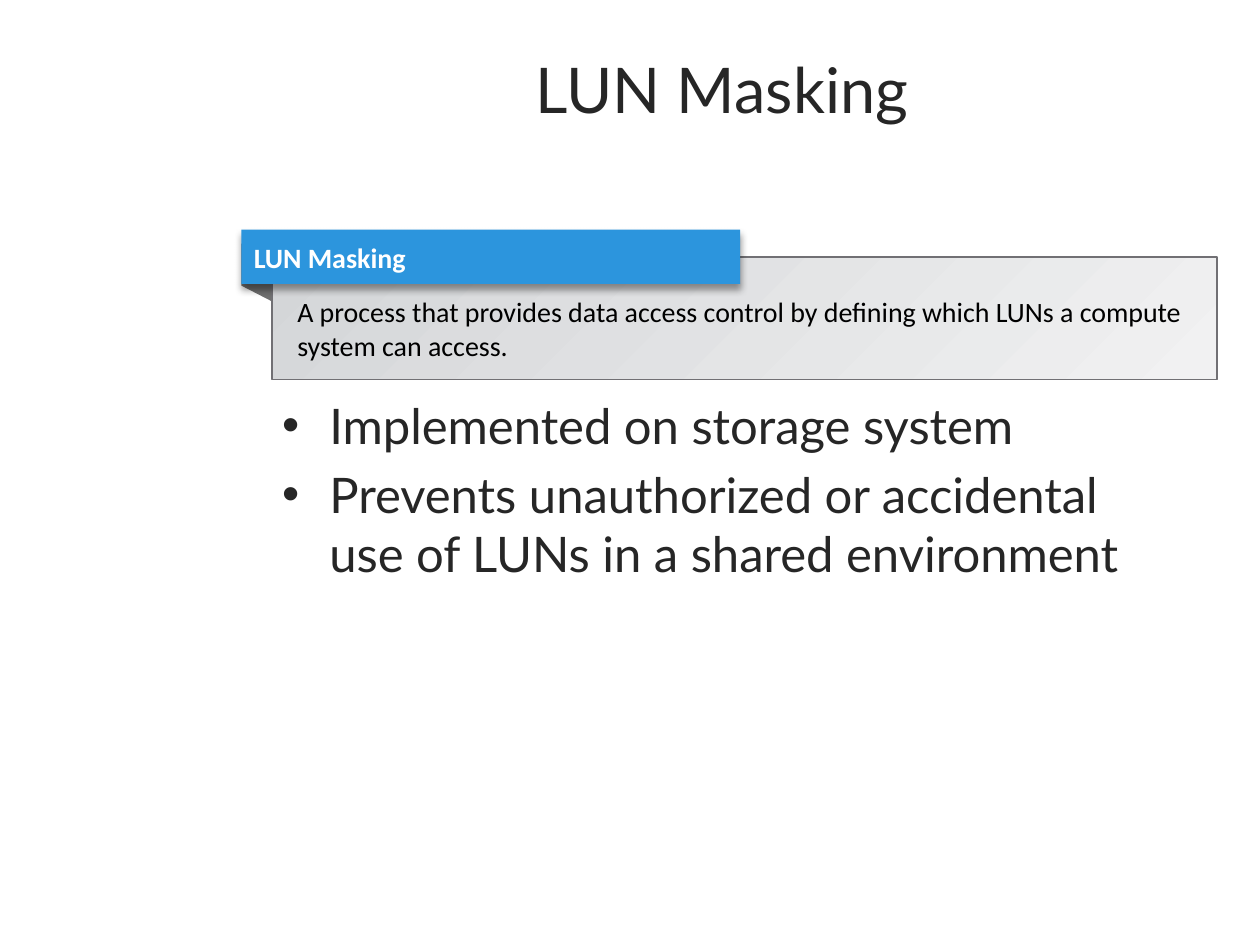
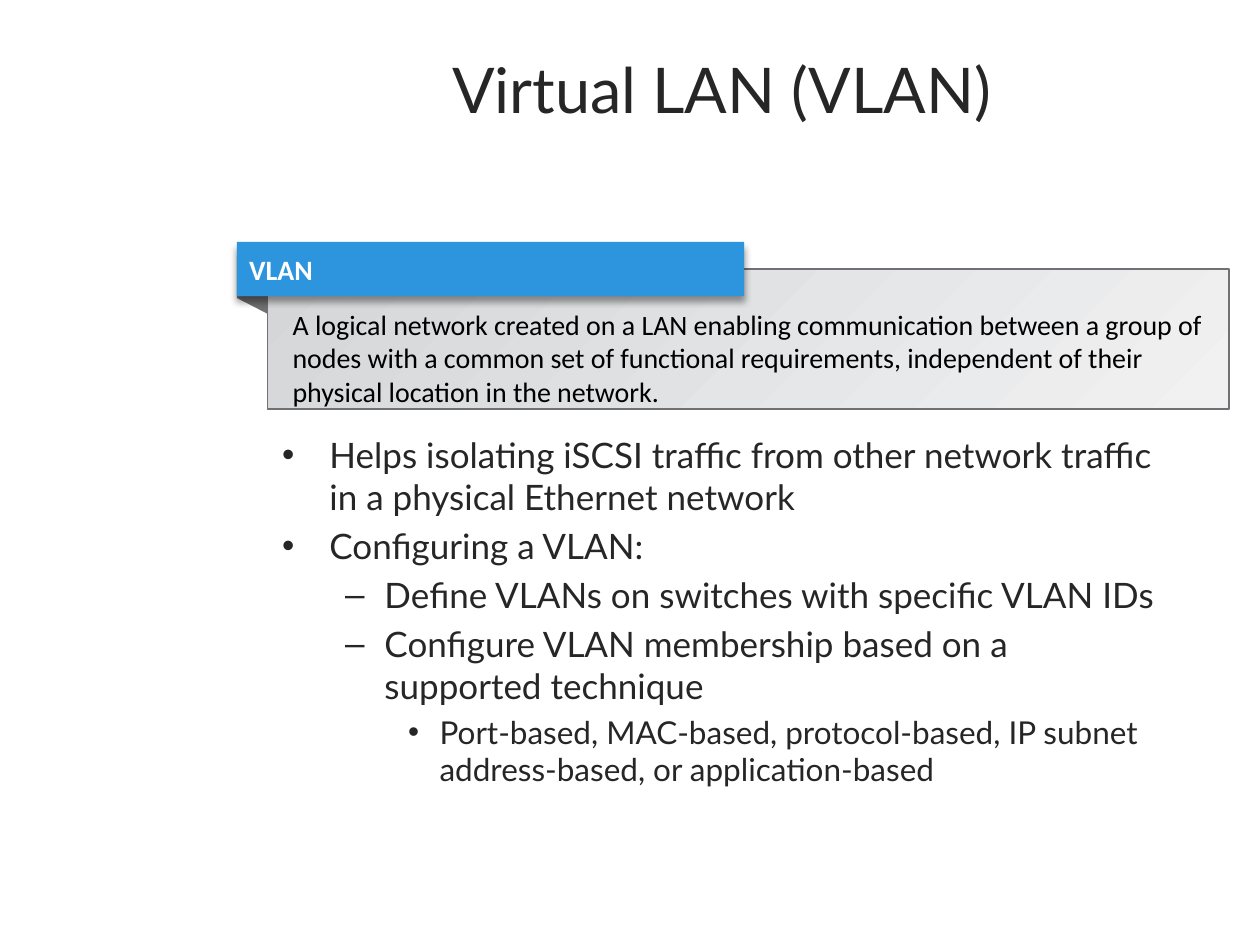
import pptx
import pptx.dml.color
import pptx.enum.shapes
import pptx.enum.text
import pptx.oxml
import pptx.util

Pt = pptx.util.Pt
RGBColor = pptx.dml.color.RGBColor
ANCHOR = pptx.enum.text.MSO_ANCHOR
ALIGN = pptx.enum.text.PP_ALIGN
RECTANGLE = pptx.enum.shapes.MSO_SHAPE.RECTANGLE

# Shared look
TEXT = RGBColor(0x26, 0x26, 0x26)
BLACK = RGBColor(0, 0, 0)
WHITE = RGBColor(0xFF, 0xFF, 0xFF)
BLUE = RGBColor(0x2C, 0x95, 0xDD)
FOLD_GRAY = RGBColor(0x70, 0x70, 0x70)
PANEL_DARK = RGBColor(0xD4, 0xD6, 0xD8)
PANEL_LIGHT = RGBColor(0xF1, 0xF1, 0xF2)
PANEL_LINE = RGBColor(0x71, 0x70, 0x74)
HEADING_FONT = "Lato"
BOX_FONT = "Calibri"

COLUMN_LEFT, COLUMN_WIDTH = 154, 517
BODY_BOTTOM = 500.5
TAG_HEIGHT = 31
PANEL_SHIFT_X, PANEL_SHIFT_Y = 17.5, 15.6
FOLD_DROP = 10

SHADOW = (
    '<a:outerShdw xmlns:a="http://schemas.openxmlformats.org/drawingml/2006/main"'
    ' blurRad="50800" dist="38100" dir="5400000" algn="t" rotWithShape="0">'
    '<a:srgbClr val="000000"><a:alpha val="40000"/></a:srgbClr></a:outerShdw>'
)


def place(item, left, top, width, height):
    item.left, item.top = Pt(left), Pt(top)
    item.width, item.height = Pt(width), Pt(height)


def add_run(paragraph, words, font, size, color, bold=False):
    run = paragraph.add_run()
    run.text = words
    run.font.name = font
    run.font.size = Pt(size)
    run.font.color.rgb = color
    run.font.bold = bold


def set_title(slide, words):
    title = slide.shapes.title
    place(title, COLUMN_LEFT, 25.2, COLUMN_WIDTH, 84.2)
    title.text_frame.vertical_anchor = ANCHOR.TOP
    heading = title.text_frame.paragraphs[0]
    heading.alignment = ALIGN.CENTER
    add_run(heading, words, HEADING_FONT, 36, TEXT)


def set_bullets(slide, top, points):
    """Fill the body with (level, size, words) points."""
    body = slide.placeholders[1]
    place(body, COLUMN_LEFT, top, COLUMN_WIDTH, BODY_BOTTOM - top)
    frame = body.text_frame
    frame.auto_size = pptx.enum.text.MSO_AUTO_SIZE.NONE
    for index, (level, size, words) in enumerate(points):
        point = frame.add_paragraph() if index else frame.paragraphs[0]
        point.level = level
        add_run(point, words, HEADING_FONT, size, TEXT)


def add_box(group, left, top, width, height, words, color, bold=False):
    box = group.shapes.add_shape(RECTANGLE, Pt(left), Pt(top), Pt(width), Pt(height))
    box.shadow.inherit = False
    box.text_frame.word_wrap = True
    paragraph = box.text_frame.paragraphs[0]
    paragraph.alignment = ALIGN.LEFT
    add_run(paragraph, words, BOX_FONT, 16, color, bold)
    return box


def add_fold(group, left, top):
    """Draw the ribbon end that bends behind the panel."""
    right, bottom = left + PANEL_SHIFT_X, top + TAG_HEIGHT
    outline = group.shapes.build_freeform(Pt(left), Pt(top + 8))
    outline.add_line_segments([
        (Pt(right), Pt(top + 8)),
        (Pt(right), Pt(bottom + FOLD_DROP)),
        (Pt(left), Pt(bottom + 1)),
    ])
    fold = outline.convert_to_shape()
    fold.shadow.inherit = False
    fold.fill.solid()
    fold.fill.fore_color.rgb = FOLD_GRAY
    fold.line.fill.background()


def add_panel(group, left, top, width, height, definition):
    panel = add_box(group, left, top, width, height, definition, BLACK)
    panel.fill.gradient()
    panel.fill.gradient_angle = 315
    for stop, color in zip(panel.fill.gradient_stops, (PANEL_DARK, PANEL_LIGHT)):
        stop.color.rgb = color
    panel.line.color.rgb = PANEL_LINE
    panel.line.width = Pt(1)
    frame = panel.text_frame
    frame.vertical_anchor = ANCHOR.TOP
    frame.margin_left = frame.margin_right = Pt(14.4)
    frame.margin_top, frame.margin_bottom = Pt(21.6), Pt(3.6)


def add_tag(group, left, top, width, term):
    tag = add_box(group, left, top, width, TAG_HEIGHT, term, WHITE, bold=True)
    tag.fill.solid()
    tag.fill.fore_color.rgb = BLUE
    tag.line.fill.background()
    tag.text_frame.vertical_anchor = ANCHOR.MIDDLE
    effects = tag._element.spPr.find(pptx.oxml.ns.qn("a:effectLst"))
    effects.append(pptx.oxml.parse_xml(SHADOW))


def add_definition(slide, left, top, tag_width, panel_size, term, definition):
    """Group a ribbon tag with the panel that defines its term."""
    group = slide.shapes.add_group_shape()
    add_fold(group, left, top)
    add_panel(group, left + PANEL_SHIFT_X, top + PANEL_SHIFT_Y, *panel_size, definition)
    add_tag(group, left, top, tag_width, term)


def add_slide(deck, title, body_top, points):
    slide = deck.slides.add_slide(deck.slide_layouts[1])
    set_title(slide, title)
    set_bullets(slide, body_top, points)
    return slide


def main():
    deck = pptx.Presentation()
    deck.slide_width, deck.slide_height = Pt(720), Pt(540)

    # LUN masking
    masking = add_slide(deck, "LUN Masking", 222.5, [
        (0, 28, "Implemented on storage system"),
        (0, 28, "Prevents unauthorized or accidental use of LUNs in a shared environment"),
    ])
    add_definition(
        masking, 138, 131.3, 285, (540, 70), "LUN Masking",
        "A process that provides data access control by defining which LUNs "
        "a compute system can access.")

    # Virtual LAN
    vlan = add_slide(deck, "Virtual LAN (VLAN)", 244, [
        (0, 20, "Helps isolating iSCSI traffic from other network traffic "
                "in a physical Ethernet network"),
        (0, 20, "Configuring a VLAN:"),
        (1, 20, "Define VLANs on switches with specific VLAN IDs"),
        (1, 20, "Configure VLAN membership based on a supported technique"),
        (2, 18, "Port-based, MAC-based, protocol-based, IP subnet "
                "address-based, or application-based"),
    ])
    add_definition(
        vlan, 135.3, 138.3, 290, (549.5, 80), "VLAN",
        "A logical network created on a LAN enabling communication between a group "
        "of nodes with a common set of functional requirements, independent of "
        "their physical location in the network.")

    deck.save("out.pptx")


if __name__ == "__main__":
    main()
